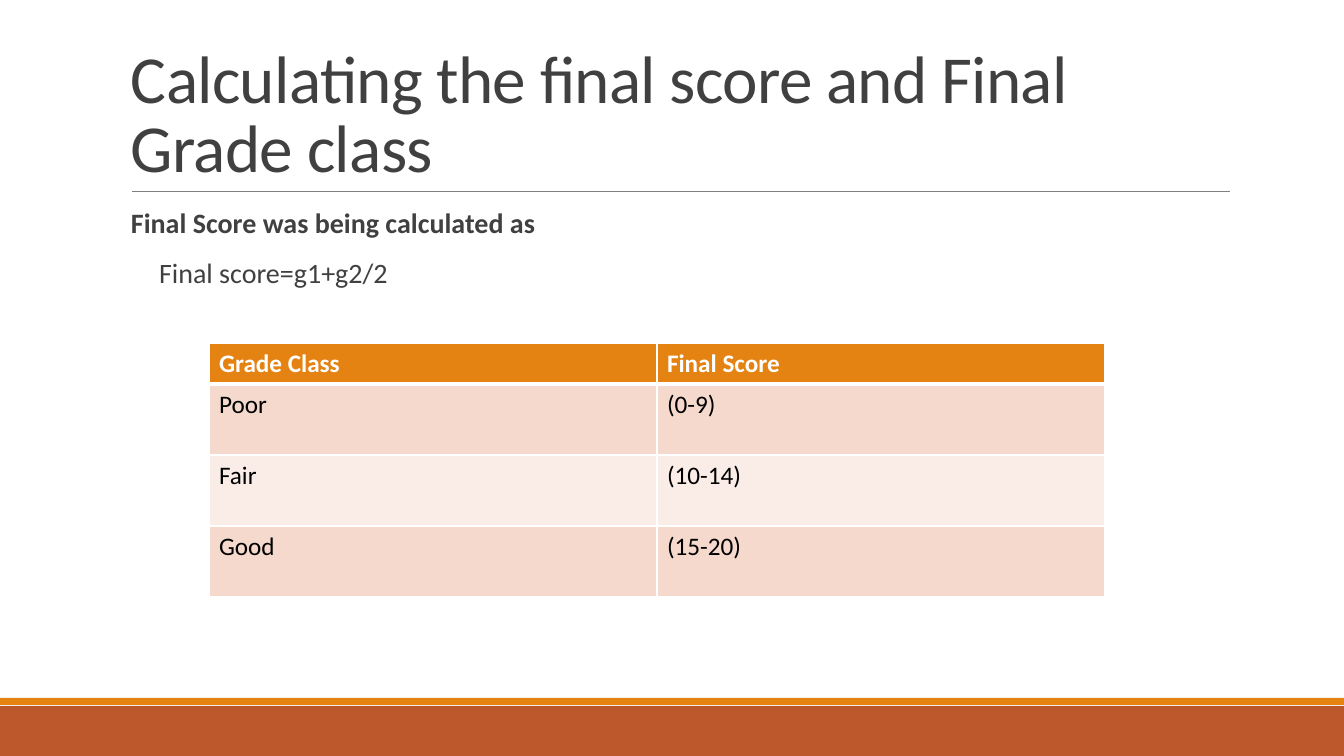
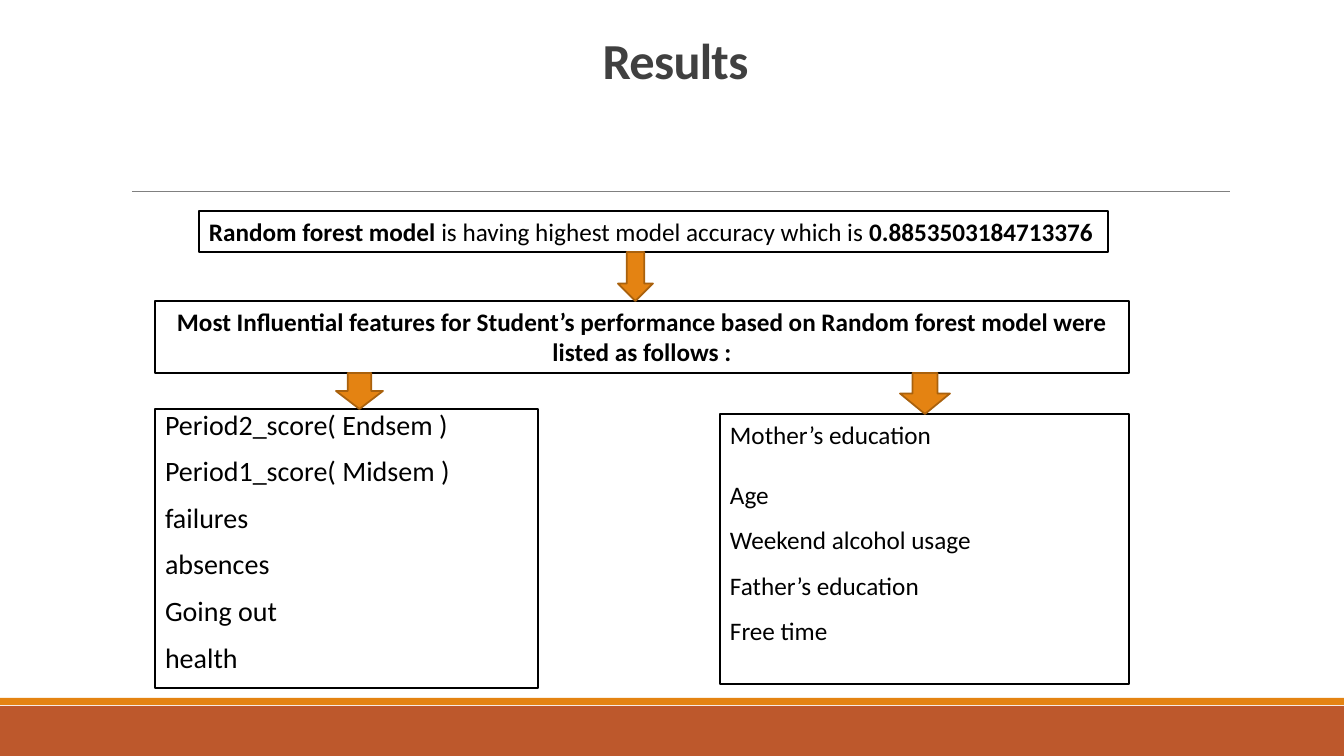
from dataclasses import dataclass, field
from typing import Any

from lxml import etree
from pptx import Presentation
from pptx import util as u
from pptx.dml.color import RGBColor
from pptx.enum import shapes, text
from pptx.oxml import ns

WIDTH, HEIGHT = 1344, 756
EMU_PER_PX = 12192000 / WIDTH

FONT = "Calibri"
WHITE = RGBColor(0xFF, 0xFF, 0xFF)
BLACK = RGBColor(0, 0, 0)
INK = RGBColor(0x40, 0x40, 0x40)
RULE = RGBColor(0x80, 0x80, 0x80)
ORANGE = RGBColor(0xE4, 0x83, 0x12)
RUST = RGBColor(0xBD, 0x58, 0x2C)
ARROW_EDGE = RGBColor(0xA9, 0x61, 0x0D)
BAND_DARK = RGBColor(0xF5, 0xD9, 0xCC)
BAND_LIGHT = RGBColor(0xFA, 0xED, 0xE7)

BODY = {"space_before": u.Pt(12), "space_after": u.Pt(2)}
CENTERED = {"alignment": text.PP_ALIGN.CENTER}


def px(length: int) -> int:
    return round(length * EMU_PER_PX)


@dataclass(frozen=True)
class Area:
    left: int
    top: int
    width: int
    height: int

    def emu(self) -> tuple[int, ...]:
        return tuple(px(n) for n in (self.left, self.top, self.width, self.height))


@dataclass(frozen=True)
class Span:
    words: str
    bold: bool = False


@dataclass(frozen=True)
class Para:
    spans: list[Span]
    layout: dict[str, Any] = field(default_factory=dict)
    indent: int = 0


@dataclass(frozen=True)
class TextBlock:
    area: Area
    paras: list[Para]
    size: int
    color: RGBColor = BLACK
    side_inset: int = 10
    anchor: Any = text.MSO_ANCHOR.TOP
    framed: bool = True
    tracking: int = 0


def apply(target: Any, values: dict[str, Any]) -> None:
    for name, value in values.items():
        setattr(target, name, value)


def write_span(para: Any, span: Span, size: int, color: RGBColor, tracking: int = 0) -> None:
    run = para.add_run()
    run.text = span.words
    apply(run.font, {"name": FONT, "size": u.Pt(size), "bold": span.bold})
    run.font.color.rgb = color
    if tracking:
        run.font._element.set("spc", str(tracking))


def paint(shape: Any, fill: RGBColor, line: RGBColor | None = None) -> None:
    shape.fill.solid()
    shape.fill.fore_color.rgb = fill
    if line is None:
        shape.line.fill.background()
    else:
        shape.line.color.rgb = line
        shape.line.width = u.Pt(1.25)


def add_preset(page: Any, kind: Any, area: Area, fill: RGBColor, line: RGBColor | None = None) -> None:
    shape = page.shapes.add_shape(kind, *area.emu())
    shape.shadow.inherit = False
    paint(shape, fill, line)


def add_text(page: Any, block: TextBlock) -> None:
    box = page.shapes.add_textbox(*block.area.emu())
    if block.framed:
        paint(box, WHITE, BLACK)
    frame = box.text_frame
    apply(frame, {
        "word_wrap": True,
        "vertical_anchor": block.anchor,
        "margin_left": px(block.side_inset),
        "margin_right": px(block.side_inset),
        "margin_top": px(5),
        "margin_bottom": px(5),
    })
    for index, item in enumerate(block.paras):
        para = frame.add_paragraph() if index else frame.paragraphs[0]
        apply(para, item.layout)
        if item.indent:
            para._p.get_or_add_pPr().set("marL", str(px(item.indent)))
        for span in item.spans:
            write_span(para, span, block.size, block.color, block.tracking)


def add_rule(page: Any) -> None:
    rule = page.shapes.add_connector(
        shapes.MSO_CONNECTOR.STRAIGHT, px(132), px(191), px(1230), px(191))
    rule.line.color.rgb = RULE
    rule.line.width = u.Pt(0.5)
    etree.SubElement(rule._element.spPr, ns.qn("a:effectLst"))


def add_page(deck: Any, title: Span, area: Area, size: int, layout: dict[str, Any]) -> Any:
    page = deck.slides.add_slide(deck.slide_layouts[6])
    rectangle = shapes.MSO_SHAPE.RECTANGLE
    add_preset(page, rectangle, Area(0, 706, WIDTH, 50), RUST)
    add_preset(page, rectangle, Area(0, 698, WIDTH, 7), ORANGE)
    add_rule(page)
    add_text(page, TextBlock(
        area, [Para([title], {"line_spacing": 0.85, **layout})], size, INK,
        anchor=text.MSO_ANCHOR.BOTTOM, framed=False, tracking=-50))
    return page


def set_borders(cell: Any, bottom: int) -> None:
    properties = cell._tc.get_or_add_tcPr()
    for edge, points in (("lnL", 1), ("lnR", 1), ("lnT", 1), ("lnB", bottom)):
        line = etree.SubElement(properties, ns.qn(f"a:{edge}"), w=str(u.Pt(points)))
        solid = etree.SubElement(line, ns.qn("a:solidFill"))
        etree.SubElement(solid, ns.qn("a:srgbClr"), val=str(WHITE))


def add_grade_table(page: Any, rows: list[tuple[str, str]]) -> None:
    area = Area(209, 343, 896, 254)
    table = page.shapes.add_table(len(rows), 2, *area.emu()).table
    for column in table.columns:
        column.width = px(area.width // 2)
    for row_index, values in enumerate(rows):
        header = row_index == 0
        table.rows[row_index].height = px(41 if header else 71)
        band = BAND_DARK if row_index % 2 else BAND_LIGHT
        for column_index, value in enumerate(values):
            cell = table.cell(row_index, column_index)
            set_borders(cell, 3 if header else 1)
            cell.fill.solid()
            cell.fill.fore_color.rgb = ORANGE if header else band
            write_span(cell.text_frame.paragraphs[0], Span(value, header), 18,
                       WHITE if header else BLACK)


def build_grades(deck: Any) -> None:
    page = add_page(deck, Span("Calculating the final score and Final Grade class"),
                    Area(121, 31, 1109, 160), 48, {})
    layout = {"line_spacing": 0.9, **BODY}
    add_text(page, TextBlock(Area(121, 204, 1109, 128), [
        Para([Span("Final Score was being calculated as", True)], layout, 10),
        Para([Span("Final score=g1+g2/2")], layout, 38),
    ], 20, INK, side_inset=0, framed=False))
    add_grade_table(page, [
        ("Grade Class", "Final Score"),
        ("Poor", "(0-9)"),
        ("Fair", "(10-14)"),
        ("Good", "(15-20)"),
    ])


def build_results(deck: Any) -> None:
    page = add_page(deck, Span("Results", True), Area(121, 31, 1109, 64), 36, CENTERED)
    scores = ["Period2_score( Endsem )", "Period1_score( Midsem )", "failures",
              "absences", "Going out", "health"]
    factors = [("Mother’s education", 1.0), ("Age", 2.0), ("Weekend alcohol usage", 1.5),
               ("Father’s education", 1.5), ("Free time", 1.5)]
    blocks = [
        TextBlock(Area(155, 409, 383, 279), [
            Para([Span(score)], {"line_spacing": 0.8, **BODY}, 10) for score in scores
        ], 20, side_inset=0),
        TextBlock(Area(155, 301, 974, 72), [Para([Span(
            "Most Influential features for Student’s performance based on "
            "Random forest model were listed as follows :", True)], CENTERED)], 18),
        TextBlock(Area(720, 414, 409, 270), [
            Para([Span(factor)], {"line_spacing": spacing}) for factor, spacing in factors
        ], 18),
        TextBlock(Area(199, 211, 909, 41), [Para([
            Span("Random forest model ", True),
            Span("is having highest model accuracy which is "),
            Span("0.8853503184713376", True),
        ])], 18),
    ]
    for block in blocks:
        add_text(page, block)
    for arrow in (Area(618, 252, 35, 49), Area(336, 373, 47, 36), Area(900, 373, 50, 41)):
        add_preset(page, shapes.MSO_SHAPE.DOWN_ARROW, arrow, ORANGE, ARROW_EDGE)


def main() -> None:
    deck = Presentation()
    apply(deck, {"slide_width": px(WIDTH), "slide_height": px(HEIGHT)})
    build_grades(deck)
    build_results(deck)
    deck.save("out.pptx")


if __name__ == "__main__":
    main()
